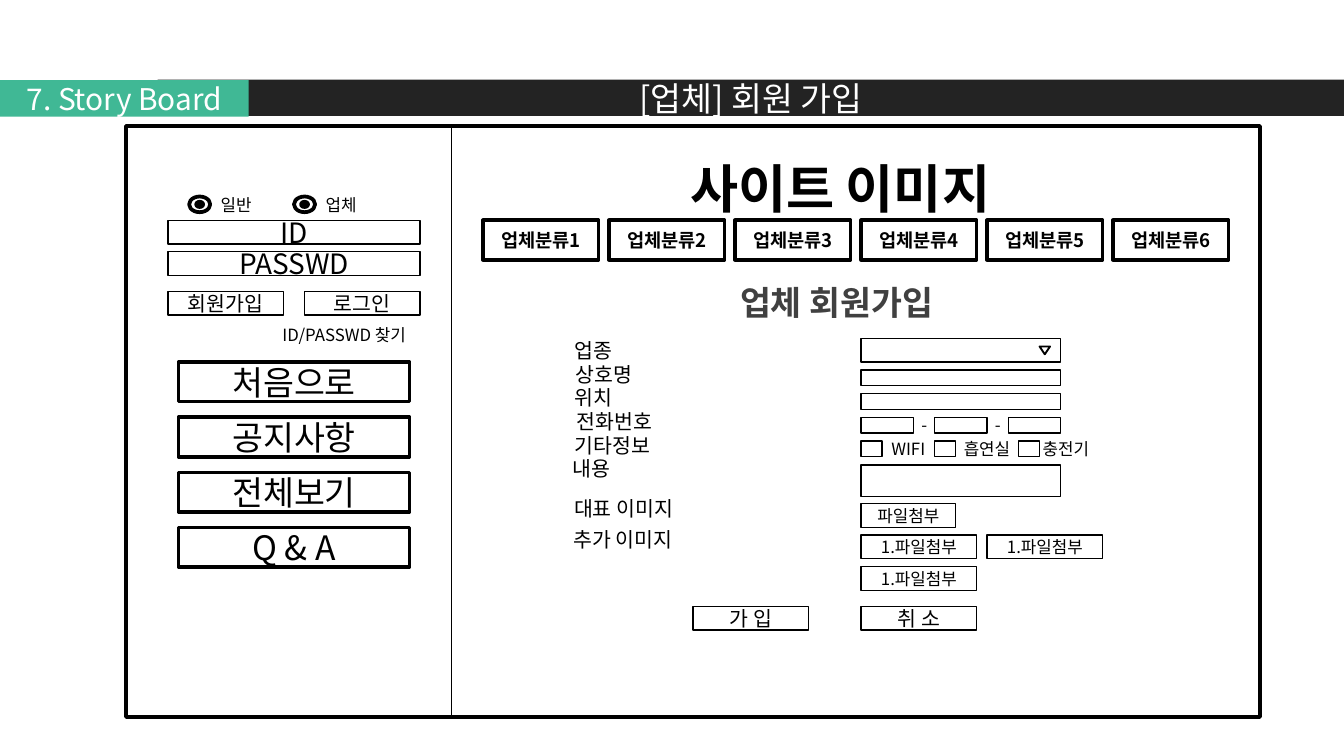
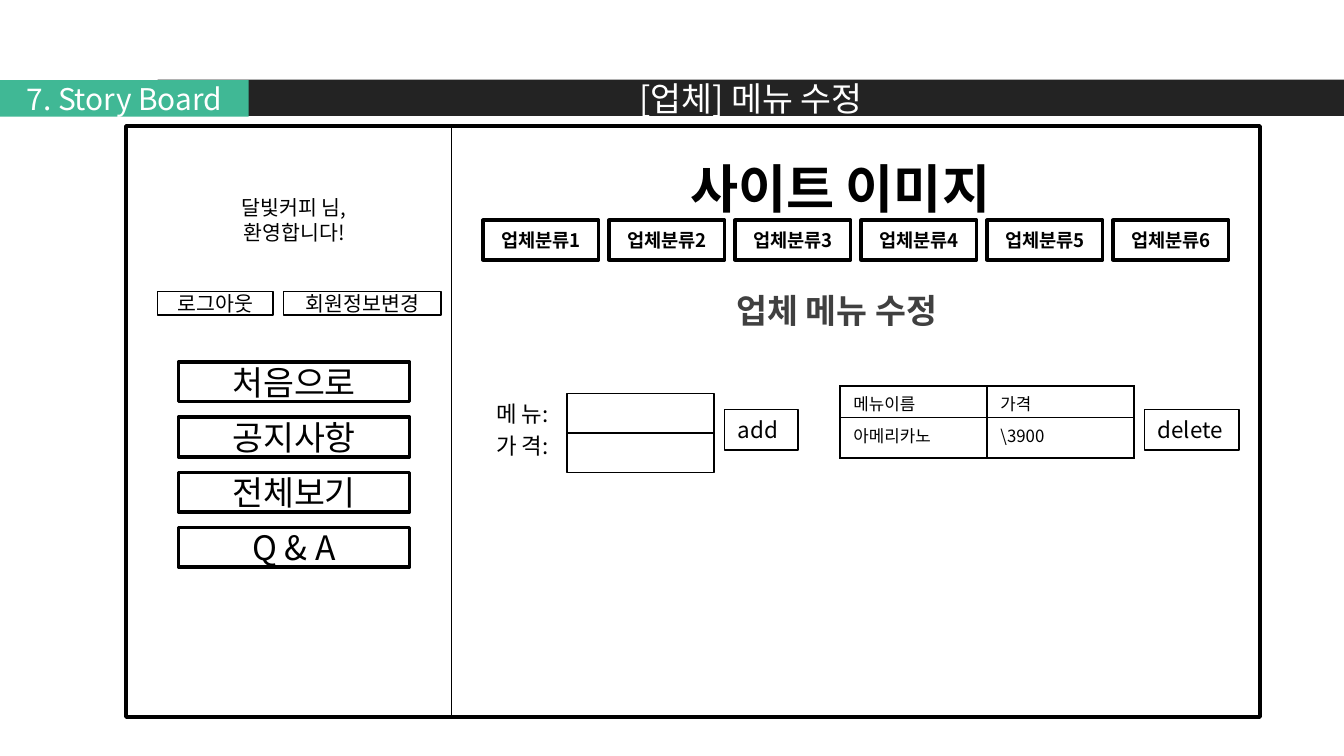
from lxml.etree import SubElement
from pptx import Presentation
from pptx.dml.color import RGBColor
from pptx.enum.shapes import MSO_SHAPE
from pptx.enum.text import MSO_ANCHOR, PP_ALIGN
from pptx.oxml.ns import qn
from pptx.util import Pt

BLACK = RGBColor(0x00, 0x00, 0x00)
WHITE = RGBColor(0xFF, 0xFF, 0xFF)
CHARCOAL = RGBColor(0x23, 0x23, 0x23)
GREEN = RGBColor(0x40, 0xB8, 0x95)
GRAY = RGBColor(0x40, 0x40, 0x40)
FONT = "Noto Sans CJK KR"

# Shared measures in points
THIN, THICK = 0.75, 2
ROW, SLIM, TALL = 12.7, 8.4, 21.1
BUTTON = 61.9
FIELD_LEFT, FIELD_WIDTH = 461.3, 106.9


class Storyboard:
    def __init__(self):
        self.deck = Presentation()
        self.deck.slide_width, self.deck.slide_height = Pt(720), Pt(405)
        self.page = None

    def style(self, frame, size, color=BLACK, bold=False, align=PP_ALIGN.CENTER):
        for para in frame.paragraphs:
            para.alignment = align
            for span in para.runs:
                span.font.size = Pt(size)
                span.font.bold = bold
                span.font.color.rgb = color
                span.font.name = FONT
                east_asian = SubElement(span.font._element, qn("a:ea"))
                east_asian.set("typeface", FONT)

    def fill_text(self, shape, text, size, color, bold, align, anchor):
        frame = shape.text_frame
        frame.word_wrap = False
        frame.vertical_anchor = anchor
        frame.text = text
        self.style(frame, size, color, bold, align)
        return frame

    def shape(self, left, top, width, height, text="", size=11, line=THIN,
              fill=None, color=BLACK, bold=False, align=PP_ALIGN.CENTER,
              anchor=MSO_ANCHOR.MIDDLE, kind=MSO_SHAPE.RECTANGLE):
        shape = self.page.shapes.add_shape(
            kind, Pt(left), Pt(top), Pt(width), Pt(height))
        shape.shadow.inherit = False
        if fill is None:
            shape.fill.background()
        else:
            shape.fill.solid()
            shape.fill.fore_color.rgb = fill
        if line:
            shape.line.color.rgb = BLACK
            shape.line.width = Pt(line)
        else:
            shape.line.fill.background()
        if text:
            self.fill_text(shape, text, size, color, bold, align, anchor)
        return shape

    def label(self, left, top, width, height, text, size=11, color=BLACK,
              bold=False, align=PP_ALIGN.CENTER, anchor=MSO_ANCHOR.MIDDLE):
        box = self.page.shapes.add_textbox(
            Pt(left), Pt(top), Pt(width), Pt(height))
        return self.fill_text(box, text, size, color, bold, align, anchor)

    def radio(self, left, text):
        self.shape(left, 105.3, 11.3, SLIM, line=THICK, fill=WHITE,
                   kind=MSO_SHAPE.OVAL)
        self.shape(left + 3.8, 108.1, 3.7, 2.8, line=THICK, fill=BLACK,
                   kind=MSO_SHAPE.OVAL)
        self.label(left + 5.5, 105.3, 39.4, SLIM, text, 9)

    def table(self, left, top, widths, heights, rows):
        frame = self.page.shapes.add_table(
            len(rows), len(widths), Pt(left), Pt(top),
            Pt(sum(widths)), Pt(sum(heights)))
        table = frame.table
        table.first_row = table.horz_banding = False
        for column, width in zip(table.columns, widths):
            column.width = Pt(width)
        for row, height, texts in zip(table.rows, heights, rows):
            row.height = Pt(height)
            for cell, text in zip(row.cells, texts):
                cell.text = text
                cell.margin_top = cell.margin_bottom = Pt(2.8)
                self.style(cell.text_frame, 9, align=PP_ALIGN.LEFT)
                self.border(cell)
                cell.fill.background()

    def border(self, cell):
        properties = cell._tc.get_or_add_tcPr()
        for side in ("lnL", "lnR", "lnT", "lnB"):
            edge = SubElement(properties, qn(f"a:{side}"), w=str(Pt(1)))
            solid = SubElement(edge, qn("a:solidFill"))
            SubElement(solid, qn("a:srgbClr"), val=str(BLACK))

    def new_page(self, title, heading, heading_top):
        self.page = self.deck.slides.add_slide(self.deck.slide_layouts[6])
        # Title band
        self.shape(84.4, 42.7, 635.6, 19.5, title, 18, line=0,
                   fill=CHARCOAL, color=WHITE)
        self.shape(0, 43, 133.2, 19.5, "7. Story Board", 16, line=0,
                   fill=GREEN, color=WHITE)
        # Site frame and side panel
        self.shape(67.5, 67.5, 174.4, 316.6)
        self.shape(67.5, 67.5, 607.5, 316.6, line=THICK)
        # Navigation
        for i, text in enumerate(("처음으로", "공지사항", "전체보기", "Q & A")):
            self.shape(95.6, 194.1 + 29.5 * i, 123.8, TALL, text, 18, THICK)
        # Site header
        self.label(281.3, 80.2, 337.5, 41.2, "사이트 이미지", 28, bold=True,
                   anchor=MSO_ANCHOR.TOP)
        for i in range(6):
            self.shape(258.8 + 67.5 * i, 118.1, BUTTON, TALL,
                       f"업체분류{i + 1}", 10, THICK, bold=True)
        self.label(303.8, heading_top, 288.8, 29.1, heading, 18, GRAY, True,
                   anchor=MSO_ANCHOR.TOP)


def sign_up_page(board):
    board.new_page("[업체] 회원 가입", "업체 회원가입", 147.7)

    # Login panel
    board.radio(101.3, "일반")
    board.radio(157.5, "업체")
    board.shape(90, 118.1, 135, ROW, "ID", 15)
    board.shape(90, 134.8, 135, ROW, "PASSWD", 15)
    board.shape(90, 156.1, BUTTON, ROW, "회원가입")
    board.shape(163.1, 156.1, BUTTON, ROW, "로그인")
    finder = board.label(101.3, 172.8, 135, ROW, "ID/PASSWD 찾기", 9,
                         align=PP_ALIGN.RIGHT)
    finder.word_wrap = True
    finder.margin_right = Pt(19)

    # Form labels: left, width, text
    top = 181.4
    line_labels = (
        (286.9, 61.9, "업종"), (275.6, 95.6, "상호명"), (286.9, 61.9, "위치"),
        (281.3, 95.6, "전화번호"), (286.9, 82.7, "기타정보"), (292.5, 49, "내용"),
    )
    for i, (left, width, text) in enumerate(line_labels):
        board.label(left, top + 12.66 * i, width, ROW, text)
    board.label(292.5, 265.8, 83.3, ROW, "대표 이미지")
    board.label(292.5, 282.7, 82.7, ROW, "추가 이미지")

    # Business type, name, place and description fields
    for field_top, height in ((top, ROW), (198.3, SLIM), (210.9, SLIM), (249.1, 16.9)):
        board.shape(FIELD_LEFT, field_top, FIELD_WIDTH, height)
    arrow = board.shape(556.9, 185.6, 5.6, 4.2, line=1,
                        kind=MSO_SHAPE.ISOSCELES_TRIANGLE)
    arrow.rotation = 180

    # Phone number
    for i in range(3):
        left = FIELD_LEFT + 39.4 * i
        board.shape(left, 223.6, 28.1, SLIM)
        if i < 2:
            board.label(left + 28.1, 223.6, 11.3, SLIM, "-", 9)

    # Check boxes: box left, label left, label width, text
    for left, text_left, width, text in (
            (FIELD_LEFT, 466.9, 39.4, "WIFI"),
            (500.6, 500.6, 56.2, "흡연실"),
            (545.6, 545.6, 50.6, "충전기")):
        board.shape(left, 236.2, 11.3, SLIM)
        board.label(text_left, 236.2, width, SLIM, text, 9)

    # File buttons
    board.shape(FIELD_LEFT, 269.8, 50.6, ROW, "파일첨부", 9)
    for left, row in ((FIELD_LEFT, 1), (528.8, 1), (FIELD_LEFT, 2)):
        board.shape(left, 269.8 + 16.9 * row, BUTTON, ROW, "1.파일첨부", 9)

    # Form actions
    board.shape(371.3, 324.8, BUTTON, ROW, "가 입")
    board.shape(FIELD_LEFT, 324.8, BUTTON, ROW, "취 소")


def menu_page(board):
    board.new_page("[업체] 메뉴 수정", "업체 메뉴 수정", 151.9)

    # Member panel
    board.label(90, 111.6, 135, ROW, "달빛커피 님,\n환영합니다!")
    board.shape(84.4, 156.1, BUTTON, ROW, "로그아웃")
    board.shape(151.9, 156.1, 84.4, ROW, "회원정보변경")

    # New menu item
    plain = {"size": 12, "align": PP_ALIGN.LEFT, "anchor": MSO_ANCHOR.TOP}
    for i, text in enumerate(("메 뉴:", "가 격:")):
        board.label(258.8, 210.9 + 16.9 * i, 45, 21.8, text, **plain)
        board.shape(303.8, 210.9 + TALL * i, 78.8, TALL)
    board.shape(388.1, 219.4, 39.4, 21.8, "add", **plain)

    # Menu list
    board.table(450, 206.7, (78.8, 78.8), (16.9, 21.8),
                (("메뉴이름", "가격"), ("아메리카노", "\\3900")))
    board.shape(613.1, 219.4, 50.6, 21.8, "delete", **plain)


def main():
    board = Storyboard()
    sign_up_page(board)
    menu_page(board)
    board.deck.save("out.pptx")


if __name__ == "__main__":
    main()
